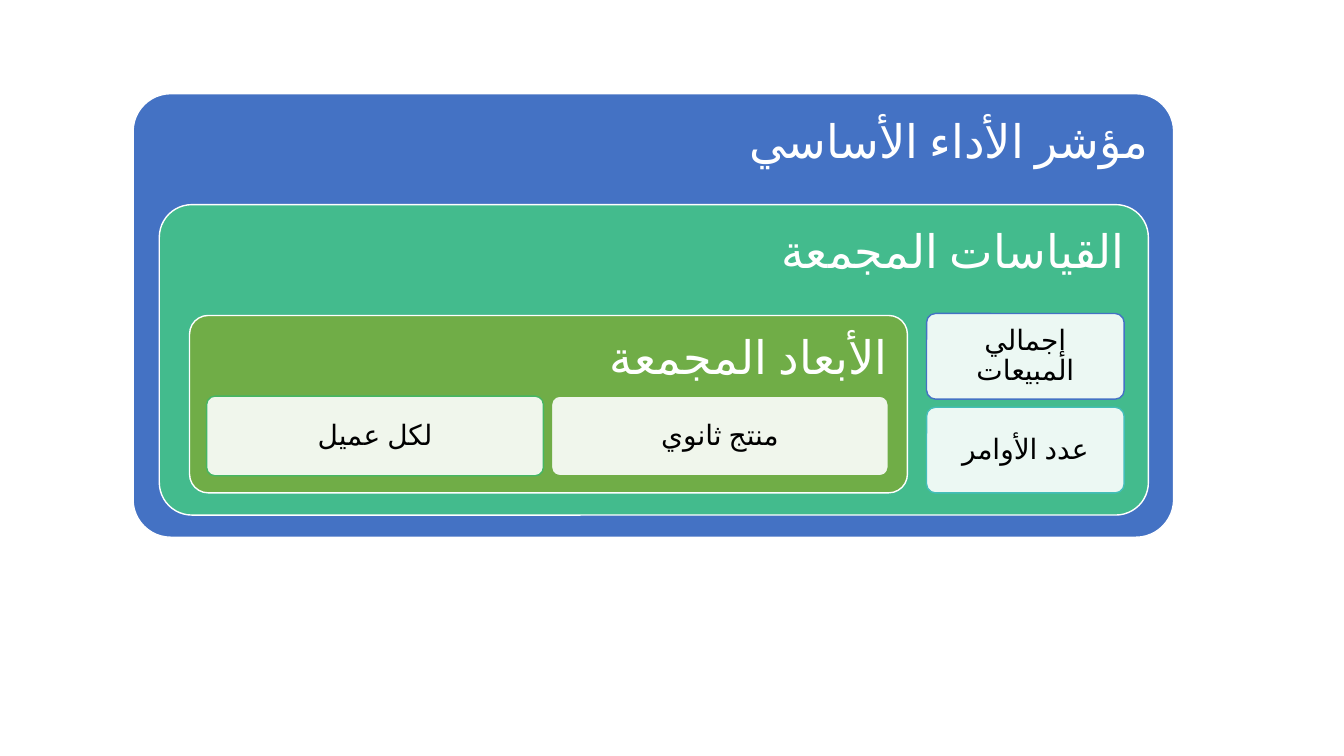
from dataclasses import dataclass

from lxml.etree import SubElement
from pptx import Presentation
from pptx.dml.color import RGBColor
from pptx.enum.lang import MSO_LANGUAGE_ID
from pptx.enum.shapes import MSO_SHAPE
from pptx.enum.text import MSO_ANCHOR, PP_ALIGN
from pptx.oxml.ns import qn
from pptx.util import Inches, Pt


@dataclass(frozen=True)
class Theme:
    font: str = "Calibri"
    heading_size: int = 33
    item_size: int = 20
    white: str = "FFFFFF"
    black: str = "000000"
    blue: str = "4472C4"
    teal: str = "43BEB9"
    mint: str = "43BB8D"
    emerald: str = "45B664"
    green: str = "70AD47"


theme = Theme()
presentation = Presentation()
presentation.slide_width = Inches(13.33)
presentation.slide_height = Inches(7.5)
slide = presentation.slides.add_slide(presentation.slide_layouts[6])


def apply(target, values):
    for name, value in values.items():
        setattr(target, name, value)


def add_box(label, bounds, corner, fill, outline, inset, anchor, align, size, color):
    box = slide.shapes.add_shape(MSO_SHAPE.ROUNDED_RECTANGLE, *map(Inches, bounds))
    box.shadow.inherit = False
    box.adjustments[0] = corner
    box.fill.solid()
    box.fill.fore_color.rgb = RGBColor.from_string(fill)
    box.line.color.rgb = RGBColor.from_string(outline)
    box.line.width = Pt(1)
    frame = box.text_frame
    margins = dict.fromkeys(
        ("margin_left", "margin_top", "margin_right", "margin_bottom"), Inches(inset)
    )
    apply(frame, {"word_wrap": True, "vertical_anchor": anchor, **margins})
    paragraph = frame.paragraphs[0]
    apply(paragraph, {"alignment": align, "line_spacing": 0.9})
    paragraph._p.get_or_add_pPr().set("rtl", "1")
    run = paragraph.add_run()
    run.text = label
    apply(run.font, {
        "name": theme.font,
        "size": Pt(size),
        "language_id": MSO_LANGUAGE_ID.ARABIC,
    })
    run.font.color.rgb = RGBColor.from_string(color)
    return box


levels = [
    ("مؤشر الأداء الأساسي", (1.32, 0.93, 10.32, 4.4), 0.085, theme.blue),
    ("القياسات المجمعة", (1.58, 2.03, 9.81, 3.08), 0.105, theme.mint),
    ("الأبعاد المجمعة", (1.88, 3.13, 7.12, 1.76), 0.105, theme.green),
]
for label, bounds, corner, fill in levels:
    add_box(label, bounds, corner, fill, theme.white, 0.14,
            MSO_ANCHOR.TOP, PP_ALIGN.RIGHT, theme.heading_size, theme.white)

item_groups = [
    ((9.19, 3.11, 1.96, 0.85), (0, 0.93),
     [("إجمالي المبيعات", theme.blue), ("عدد الأوامر", theme.teal)]),
    ((2.05, 3.93, 3.34, 0.79), (3.42, 0),
     [("لكل عميل", theme.emerald), ("منتج ثانوي", theme.green)]),
]
for (left, top, width, height), (step_x, step_y), items in item_groups:
    for index, (label, outline) in enumerate(items):
        bounds = (left + index * step_x, top + index * step_y, width, height)
        item = add_box(label, bounds, 0.105, theme.white, outline, 0.08,
                       MSO_ANCHOR.MIDDLE, PP_ALIGN.CENTER, theme.item_size, theme.black)
        fill_color = item._element.spPr.find(qn("a:solidFill"))[0]
        SubElement(fill_color, qn("a:alpha"), val="90000")

presentation.save("out.pptx")
